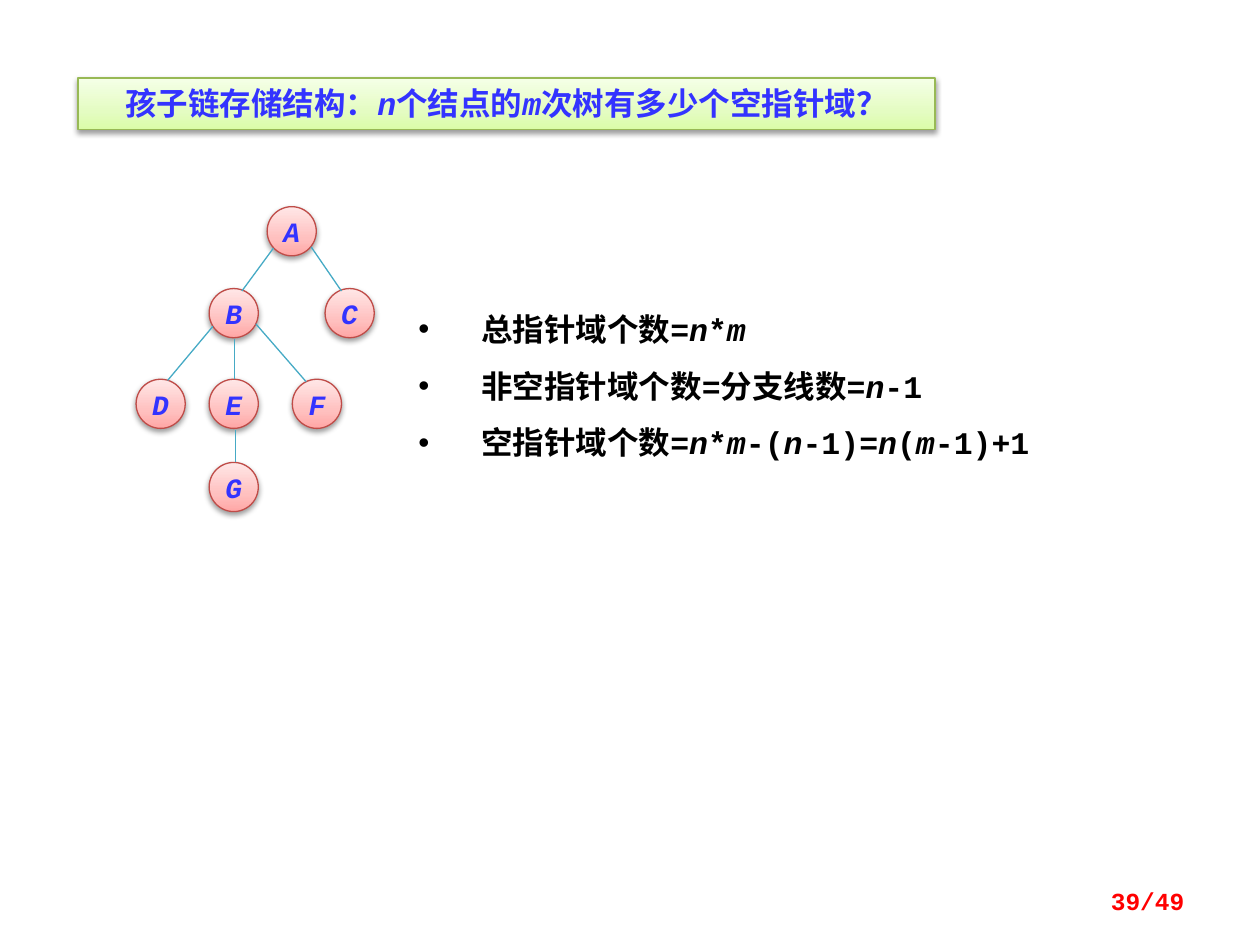
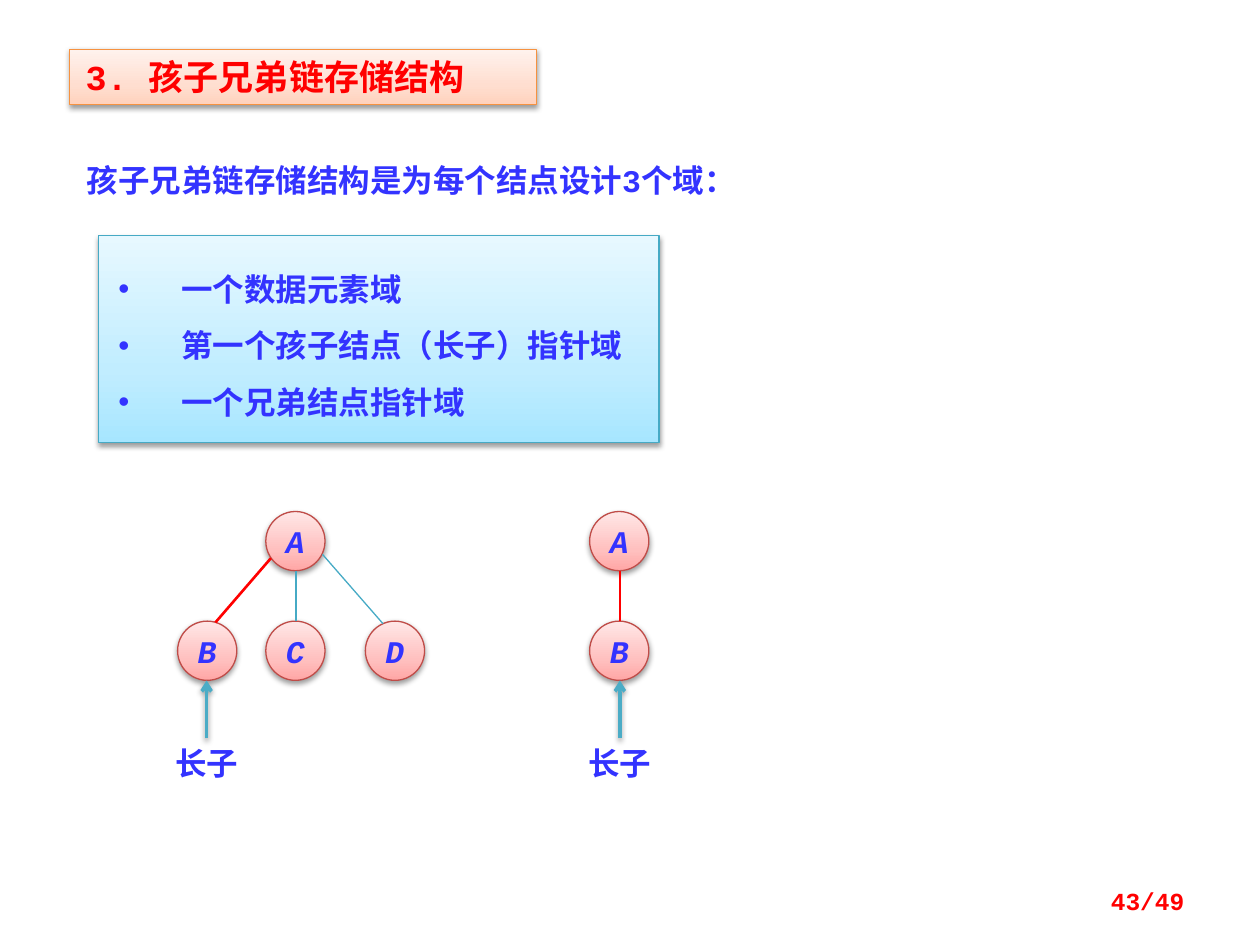
"""Two slides on child-chain and child-sibling storage of trees."""
import dataclasses

import lxml.etree
import pptx
import pptx.dml.color
import pptx.enum.shapes
import pptx.enum.text
import pptx.oxml.ns
import pptx.util

Inches, Pt = pptx.util.Inches, pptx.util.Pt
Align, Anchor = pptx.enum.text.PP_ALIGN, pptx.enum.text.MSO_ANCHOR
AutoSize = pptx.enum.text.MSO_AUTO_SIZE
Shape = pptx.enum.shapes.MSO_SHAPE
qn = pptx.oxml.ns.qn


@dataclasses.dataclass(frozen=True)
class Theme:
    font: str = "Courier New"
    blue: str = "3333FF"
    red: str = "FF0000"
    black: str = "000000"
    white: str = "FFFFFF"
    teal: str = "46AAC5"
    arrow: str = "4BACC6"
    green_fill: tuple = ("DAFDA7", "E4FCC2", "F5FFE7", "98B955")
    orange_fill: tuple = ("FFD2BD", "FFDED0", "FFF2ED", "F69240")
    cyan_fill: tuple = ("A7E6FF", "C1EDFF", "E7F8FF", "46AAC5")
    pink_fill: tuple = ("FFA6A5", "FFC0BF", "FFE7E7", "BF4C48")
    heading: int = 20
    body: int = 18
    small_node: int = 16
    page: int = 14
    thin: float = 0.75
    thick: float = 1.5
    arrow_width: float = 2


T = Theme()

QUESTION = "孩子链存储结构：_n_个结点的_m_次树有多少个空指针域？"
COUNTS = [
    "总指针域个数=_n_*_m_",
    "非空指针域个数=分支线数=_n_-1",
    "空指针域个数=_n_*_m_-(_n_-1)=_n_(_m_-1)+1",
]
HEADING = "3. 孩子兄弟链存储结构"
INTRO = "孩子兄弟链存储结构是为每个结点设计3个域："
FIELDS = ["一个数据元素域", "第一个孩子结点（长子）指针域", "一个兄弟结点指针域"]
FIRST_CHILD = "长子"

CHAIN_TREE = {
    "diameter": 0.39,
    "size": T.small_node,
    "nodes": [("A", 2.12, 1.64), ("G", 1.66, 3.67), ("B", 1.66, 2.29), ("C", 2.58, 2.29),
              ("D", 1.08, 3.01), ("E", 1.66, 3.01), ("F", 2.32, 3.01)],
    "branches": [(1.87, 3.41, 1.87, 3.67), (2.17, 1.97, 1.92, 2.31), (2.47, 1.96, 2.71, 2.31),
                 (1.86, 2.69, 1.86, 3.01), (1.69, 2.59, 1.33, 3.02), (2.03, 2.57, 2.43, 3.03)],
    "first_branches": [],
}
SIBLING_TREES = {
    "diameter": 0.47,
    "size": T.body,
    "nodes": [("A", 2.11, 4.06), ("B", 1.41, 4.93), ("C", 2.11, 4.93), ("D", 2.9, 4.93),
              ("A", 4.68, 4.06), ("B", 4.68, 4.93)],
    "branches": [(2.35, 4.53, 2.35, 4.93), (2.56, 4.4, 3.04, 4.95)],
    "first_branches": [(2.15, 4.43, 1.71, 4.94), (4.92, 4.53, 4.92, 4.93)],
}
FIRST_CHILD_LEFTS = [1.25, 4.53]


def rgb(color):
    return pptx.dml.color.RGBColor.from_string(color)


def add_xml(parent, tag, **attrs):
    return lxml.etree.SubElement(parent, qn(tag), **attrs)


def set_shadow(sp, visible=True):
    effects = add_xml(sp._element.spPr, "a:effectLst")
    if visible:
        shadow = add_xml(effects, "a:outerShdw", blurRad="40000", dist="20000",
                         dir="5400000", rotWithShape="0")
        color = add_xml(shadow, "a:srgbClr", val=T.black)
        add_xml(color, "a:alpha", val="38000")


def set_gradient(sp, colors):
    *stops, outline = colors
    sp.fill.gradient()
    sp.fill.gradient_angle = 90
    stop_list = sp._element.spPr.find(".//" + qn("a:gsLst"))
    stop_list.clear()
    for position, color in zip((0, 35, 100), stops):
        stop = add_xml(stop_list, "a:gs", pos=str(position * 1000))
        add_xml(stop, "a:srgbClr", val=color)
    sp.line.color.rgb = rgb(outline)
    sp.line.width = Pt(T.thin)
    set_shadow(sp)


def write(sp, lines, size=T.body, color=T.blue, italic=False, align=Align.LEFT,
          anchor=Anchor.TOP, wrap=True, fit=False, bullets=False, insets=None):
    tf = sp.text_frame
    tf.word_wrap = wrap
    tf.vertical_anchor = anchor
    tf.auto_size = AutoSize.SHAPE_TO_FIT_TEXT if fit else AutoSize.NONE
    if insets:
        tf.margin_left, tf.margin_top, tf.margin_right, tf.margin_bottom = map(Inches, insets)
    for i, line in enumerate(lines):
        p = tf.add_paragraph() if i else tf.paragraphs[0]
        p.alignment = align
        if bullets:
            p.line_spacing = 1.5
            pPr = p._p.get_or_add_pPr()
            pPr.set("marL", str(Inches(0.5)))
            pPr.set("indent", str(-Inches(0.5)))
            add_xml(pPr, "a:buFont", typeface="Arial")
            add_xml(pPr, "a:buChar", char="•")
        for j, part in enumerate(line.split("_")):
            if part:
                r = p.add_run()
                r.text = part
                r.font.name = T.font
                r.font.size = Pt(size)
                r.font.bold = True
                r.font.italic = italic or j % 2 == 1
                r.font.color.rgb = rgb(color)


def add_label(slide, text, box, **style):
    sp = slide.shapes.add_textbox(*map(Inches, box))
    write(sp, [text], **style)
    return sp


def add_line(slide, points, color=T.teal, width=T.thin, arrow=False):
    cxn = slide.shapes.add_connector(pptx.enum.shapes.MSO_CONNECTOR.STRAIGHT, *map(Inches, points))
    cxn.line.color.rgb = rgb(color)
    cxn.line.width = Pt(width)
    if arrow:
        add_xml(cxn._element.spPr.find(qn("a:ln")), "a:tailEnd", type="arrow")
    set_shadow(cxn, arrow)
    return cxn


def add_panel(slide, lines, box, insets, colors=None, text_color=T.blue):
    sp = slide.shapes.add_shape(Shape.RECTANGLE, *map(Inches, box))
    if colors:
        set_gradient(sp, colors)
    else:
        sp.fill.solid()
        sp.fill.fore_color.rgb = rgb(T.white)
        sp.line.fill.background()
        sp.shadow.inherit = False
    write(sp, lines, color=text_color, bullets=True, fit=True, insets=insets)


def add_tree(slide, tree):
    size = Inches(tree["diameter"])
    for name, left, top in tree["nodes"]:
        sp = slide.shapes.add_shape(Shape.OVAL, Inches(left), Inches(top), size, size)
        set_gradient(sp, T.pink_fill)
        write(sp, [name], size=tree["size"], italic=True, align=Align.CENTER,
              anchor=Anchor.MIDDLE, wrap=False)
    for points in tree["branches"]:
        add_line(slide, points)
    for points in tree["first_branches"]:
        add_line(slide, points, T.red, T.thick)


def add_slide(prs, title, box, colors, page, **style):
    slide = prs.slides.add_slide(prs.slide_layouts[5])
    sp = slide.shapes.title
    sp.left, sp.top, sp.width, sp.height = map(Inches, box)
    set_gradient(sp, colors)
    write(sp, [title], **style)
    add_label(slide, f"{page}/49", (7.17, 6.95, 2.33, 0.4), size=T.page, color=T.red,
              align=Align.RIGHT, anchor=Anchor.MIDDLE)
    return slide


def build_chain_slide(prs):
    slide = add_slide(prs, QUESTION, (0.62, 0.62, 6.8, 0.41), T.green_fill, 39, align=Align.CENTER)
    add_panel(slide, COUNTS, (3.2, 2.19, 5.63, 1.6), (0.12, 0.12, 0.1, 0.12), text_color=T.black)
    add_tree(slide, CHAIN_TREE)


def build_sibling_slide(prs):
    slide = add_slide(prs, HEADING, (0.55, 0.39, 3.71, 0.44), T.orange_fill, 43,
                      size=T.heading, color=T.red, insets=(0.13, 0.05, 0.1, 0.05))
    add_label(slide, INTRO, (0.59, 1.23, 5.5, 0.4), fit=True)
    add_panel(slide, FIELDS, (0.78, 1.87, 4.45, 1.64), (0.16, 0.12, 0.1, 0.12), T.cyan_fill)
    add_tree(slide, SIBLING_TREES)
    width, top, tip = 0.78, 5.86, 5.4
    for left in FIRST_CHILD_LEFTS:
        label = add_label(slide, FIRST_CHILD, (left, top, width, 0.4), align=Align.CENTER, fit=True)
        middle = left + width / 2
        cxn = add_line(slide, (middle, top, middle, tip), T.arrow, T.arrow_width, arrow=True)
        cxn.begin_connect(label, 0)


def main():
    prs = pptx.Presentation()
    prs.slide_width, prs.slide_height = Inches(10), Inches(7.5)
    build_chain_slide(prs)
    build_sibling_slide(prs)
    prs.save("out.pptx")


if __name__ == "__main__":
    main()
